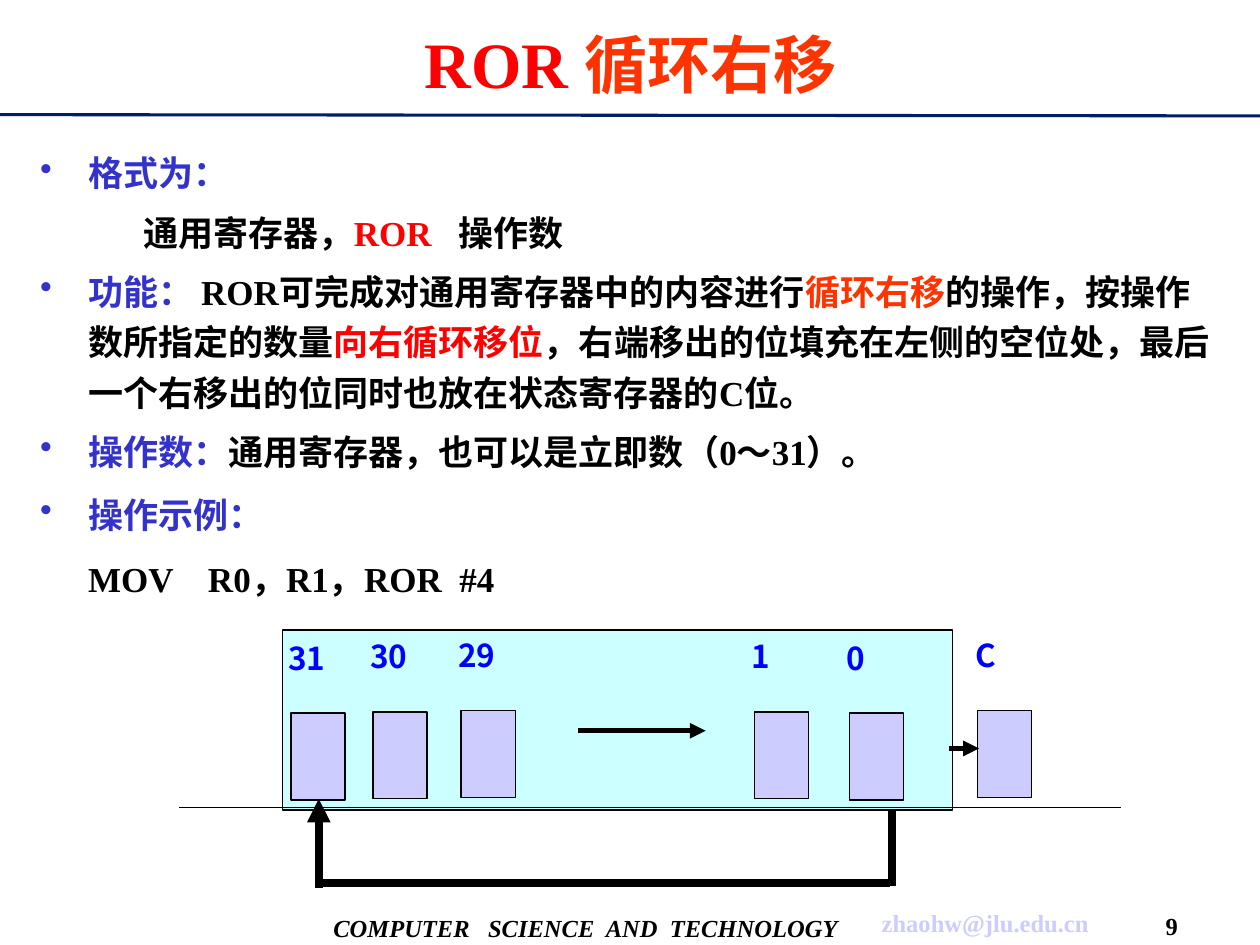
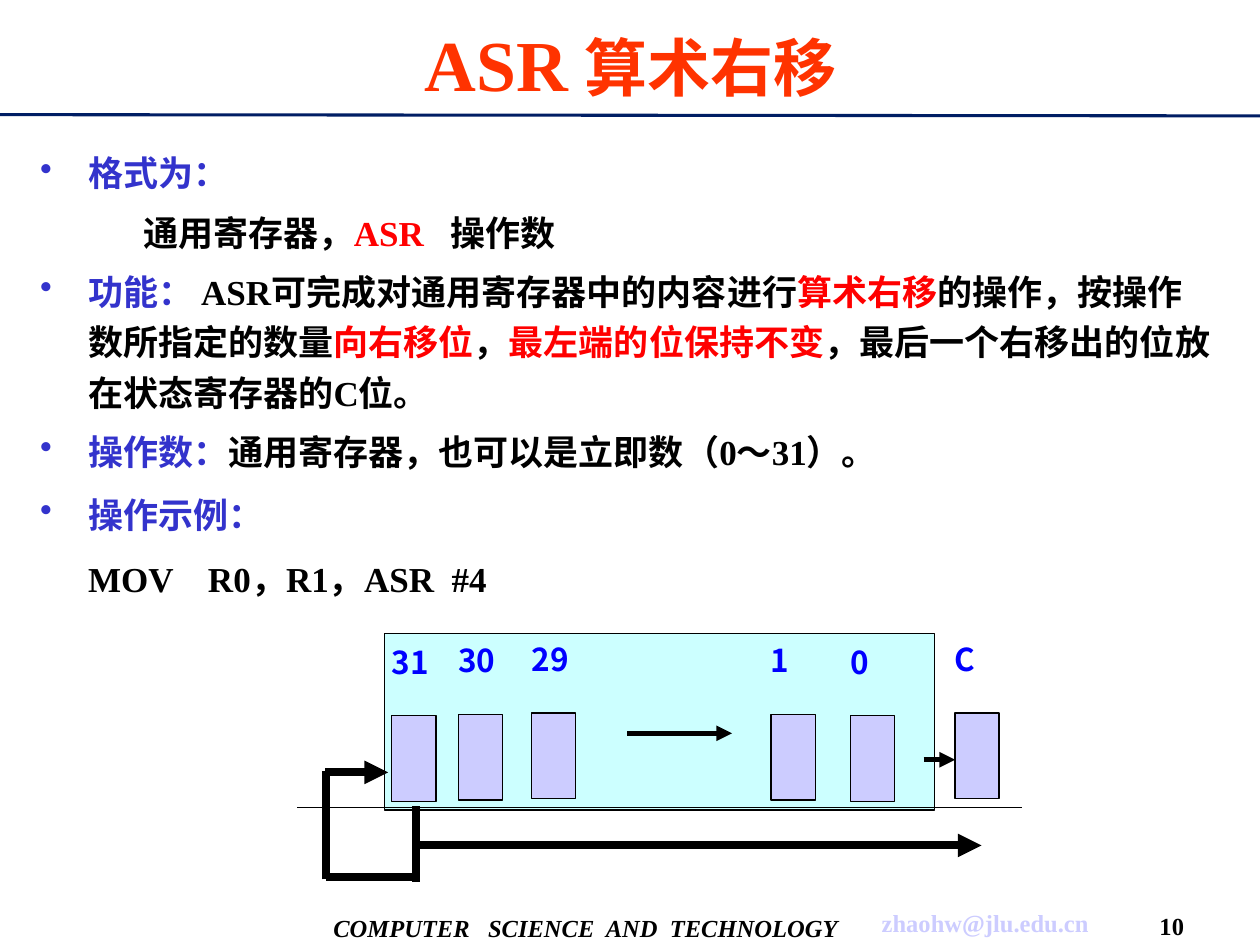
from lxml.etree import SubElement
from pptx import Presentation
from pptx.dml.color import RGBColor
from pptx.enum.shapes import MSO_CONNECTOR, MSO_SHAPE
from pptx.enum.text import MSO_ANCHOR, PP_ALIGN
from pptx.oxml.ns import qn
from pptx.util import Inches, Pt

HUES = {"ink": "000000", "navy": "001E64", "red": "FF0000", "flame": "FF3300",
        "head": "3333CC", "pale": "CCCCFF", "aqua": "CCFFFF", "blue": "0000FF"}
SERIF, SANS = "Times New Roman", "Noto Sans CJK SC"
# Small drop of each cell below the top of the row
DROPS = {"31": 0.02, "30": 0.01, "29": 0, "1": 0.01, "0": 0.02, "C": 0}


def hue(name):
    return RGBColor.from_string(HUES[name])


def write(para, text, size=20, color="ink", face=SERIF, italic=False):
    run = para.add_run()
    run.text = text
    font = run.font
    font.size, font.bold, font.italic = Pt(size), True, italic
    font.color.rgb, font.name = hue(color), face
    SubElement(font._element, qn("a:ea")).set("typeface", SANS)


class Deck:
    def __init__(self):
        self.prs = Presentation()
        self.prs.slide_width, self.prs.slide_height = Inches(10), Inches(7.5)
        self.shapes = None

    def box(self, x, y, w, h, middle=False):
        frame = self.shapes.add_textbox(*map(Inches, (x, y, w, h))).text_frame
        frame.word_wrap = True
        if middle:
            frame.vertical_anchor = MSO_ANCHOR.MIDDLE
            frame.paragraphs[0].alignment = PP_ALIGN.CENTER
        return frame

    def line(self, start, end, width=0.75, color="ink", arrow=False):
        link = self.shapes.add_connector(
            MSO_CONNECTOR.STRAIGHT, *map(Inches, (*start, *end)))
        link.line.width, link.line.color.rgb = Pt(width), hue(color)
        if arrow:
            SubElement(link.line._get_or_add_ln(), qn("a:tailEnd")).set("type", "triangle")
        SubElement(link._element.spPr, qn("a:effectLst"))

    def rect(self, x, y, w, h, fill):
        shape = self.shapes.add_shape(
            MSO_SHAPE.RECTANGLE, *map(Inches, (x, y, w, h)))
        shape.shadow.inherit = False
        shape.fill.solid()
        shape.fill.fore_color.rgb = hue(fill)
        shape.line.color.rgb, shape.line.width = hue("ink"), Pt(0.75)

    def page(self, number, title):
        """Start a slide with its rule, footer and title."""
        self.shapes = self.prs.slides.add_slide(self.prs.slide_layouts[6]).shapes
        self.line((0, 0.91), (10, 0.92), 1.75, "navy")
        foot = (((2.4, 7.15, 4.5, 0.42), "COMPUTER   SCIENCE  AND  TECHNOLOGY", "ink", True),
                ((6.72, 7.14, 2.2, 0.36), "zhaohw@jlu.edu.cn", "pale", False),
                ((9.05, 7.19, 0.5, 0.31), str(number), "ink", False))
        for place, text, color, italic in foot:
            frame = self.box(*place, middle=True)
            write(frame.paragraphs[0], text, 14, color, italic=italic)
        head = self.box(0.32, 0.08, 9.37, 0.83, middle=True).paragraphs[0]
        for text, size, color in title:
            write(head, text, size, color)

    def body(self, code, task):
        """Describe the shift: format, function, operand and example."""
        # Each row: bullet, left indent, space after, runs
        rows = ((True, 0.38, 0, [("格式为：", "head")]),
                (False, 0.82, 0, [("通用寄存器，", "ink"), (f"{code}   ", "red"),
                                  ("操作数", "ink")]),
                (True, 0.38, 0, [("功能： ", "head"),
                                 (f"{code}可完成对通用寄存器中的内容进行", "ink"), *task]),
                (True, 0.38, 2.5, [("操作数：", "head"),
                                   ("通用寄存器，也可以是立即数（0～31）。", "ink")]),
                (True, 0.38, 2.5, [("操作示例：", "head")]),
                (False, 0.38, 2.5, [(f"MOV    R0，R1，{code}  #4", "ink")]))
        frame = self.box(0.22, 1.09, 9.52, 3.89)
        for i, (dot, left, after, runs) in enumerate(rows):
            para = frame.add_paragraph() if i else frame.paragraphs[0]
            props = para._p.get_or_add_pPr()
            props.set("marL", str(Inches(left)))
            props.set("indent", str(Inches(-0.38 if dot else 0)))
            if dot:
                tint = SubElement(props, qn("a:buClr"))
                SubElement(tint, qn("a:srgbClr")).set("val", HUES["head"])
                SubElement(props, qn("a:buChar")).set("char", "•")
            para.line_spacing = 1.2
            para.space_before, para.space_after = Pt(5 if i else 0), Pt(after)
            for text, color in runs:
                write(para, text, color=color)

    def cells(self, lefts, top, size, pad, rise):
        """Draw the register bits and the carry bit with their labels."""
        for (name, drop), x in zip(DROPS.items(), lefts):
            y = top + drop
            self.rect(x, y, *size, "pale")
            frame = self.box(x - pad, y - rise, 0.76, 0.91)
            write(frame.paragraphs[0], name, 18, "blue", SANS)

    def route(self, *legs):
        """Draw thick legs; each says whether it ends in an arrow."""
        for start, end, arrow in legs:
            self.line(start, end, 4.5, arrow=arrow)


def main():
    deck = Deck()

    # Rotate right
    deck.page(9, [("ROR ", 37, "red"), ("循环右移", 36, "flame")])
    deck.body("ROR", [
        ("循环右移", "flame"), ("的操作，按操作数所指定的数量", "ink"),
        ("向右循环移位", "red"),
        ("，右端移出的位填充在左侧的空位处，最后一个右移出的位同时也放在状态寄存器的C位。", "ink")])
    deck.rect(2.24, 5, 5.32, 1.43, "aqua")
    deck.cells((2.31, 2.96, 3.66, 5.99, 6.74, 7.76), 5.64, (0.43, 0.69), 0.12, 0.64)
    deck.line((1.42, 6.41), (8.9, 6.41))
    deck.line((4.59, 5.8), (5.6, 5.8), 3, arrow=True)
    deck.route(((7.08, 6.43), (7.08, 7.03), False),
               ((7.06, 7.01), (2.56, 7.01), False),
               ((2.53, 7.05), (2.53, 6.34), True))
    deck.line((7.53, 5.94), (7.77, 5.94), 3, arrow=True)

    # Arithmetic shift right
    deck.page(10, [("ASR", 41, "flame"), (" ", 37, "red"), ("算术右移", 36, "flame")])
    deck.body("ASR", [
        ("算术右移", "red"), ("的操作，按操作数所指定的数量", "ink"),
        ("向右移位", "red"), ("，", "ink"), ("最左端的位保持不变", "red"),
        ("，最后一个右移出的位放在状态寄存器的C位。", "ink")])
    deck.rect(3.05, 5.03, 4.37, 1.4, "aqua")
    deck.cells((3.11, 3.64, 4.22, 6.12, 6.75, 7.58), 5.66, (0.35, 0.68), 0.1, 0.63)
    deck.line((2.36, 6.41), (8.11, 6.41))
    deck.line((4.98, 5.82), (5.81, 5.82), 3, arrow=True)
    deck.route(((3.32, 6.71), (7.79, 6.71), True),
               ((3.3, 6.4), (3.3, 7), False),
               ((3.29, 6.96), (2.59, 6.96), False),
               ((2.59, 6.98), (2.59, 6.12), False),
               ((2.58, 6.13), (3.08, 6.13), True))
    deck.line((7.33, 6.03), (7.58, 6.03), 3, arrow=True)

    deck.prs.save("out.pptx")


if __name__ == "__main__":
    main()
